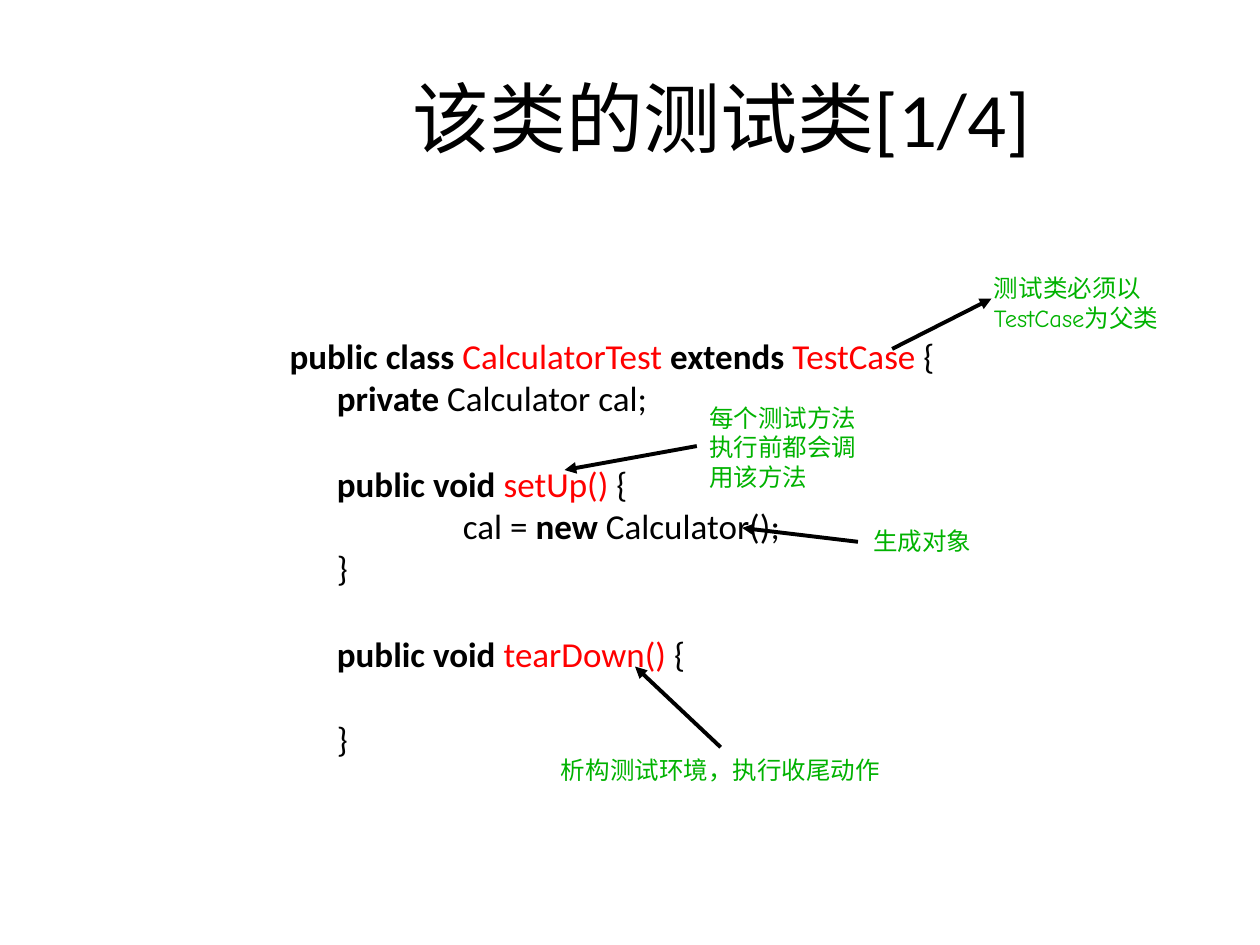
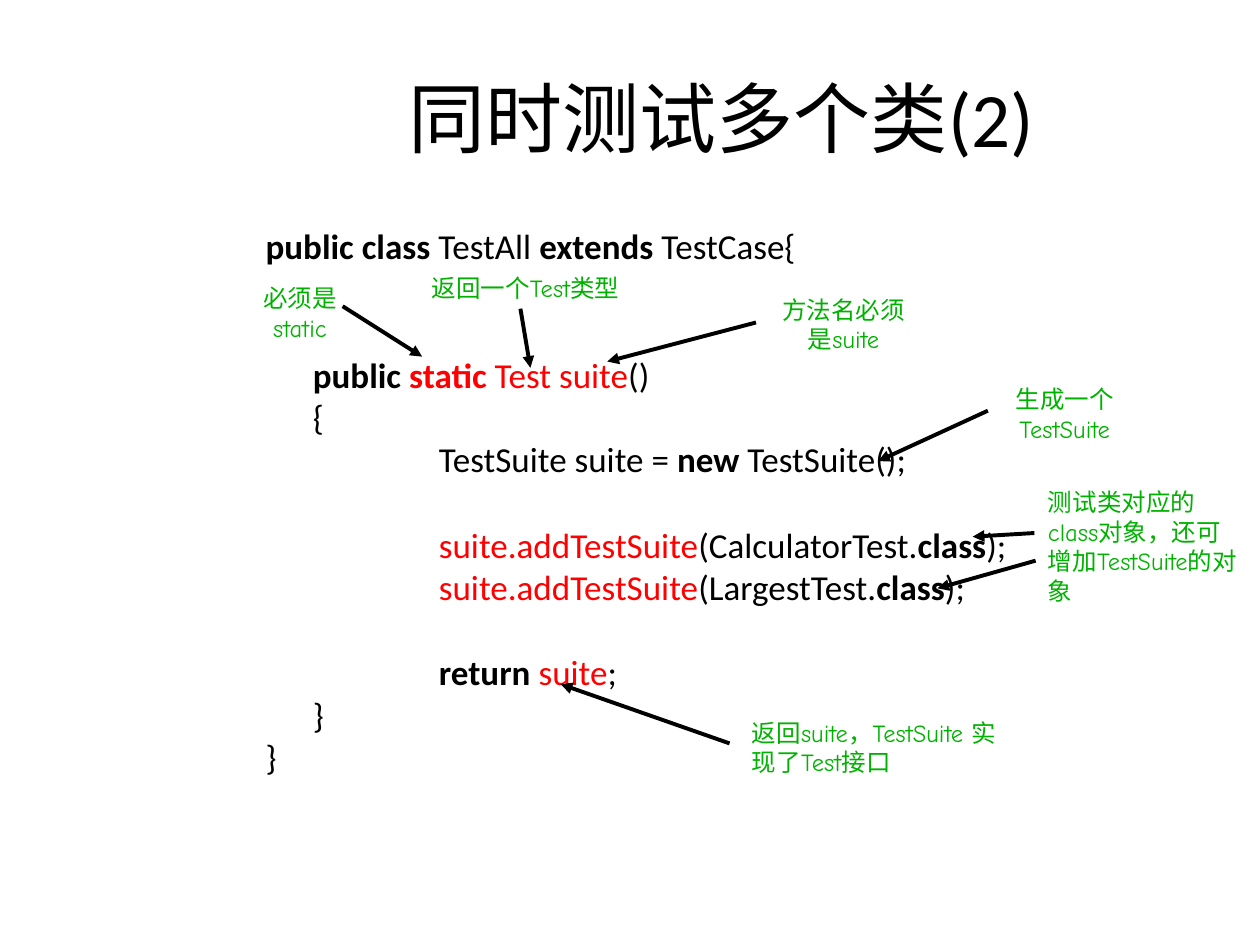
from dataclasses import dataclass
from typing import NamedTuple

from pptx import Presentation
from pptx.dml.color import RGBColor
from pptx.enum.shapes import MSO_CONNECTOR as Connector
from pptx.enum.text import MSO_ANCHOR as Anchor
from pptx.enum.text import MSO_AUTO_SIZE as AutoSize
from pptx.enum.text import PP_ALIGN as Align
from pptx.oxml.ns import qn
from pptx.slide import Slide
from pptx.util import Pt
from lxml.etree import SubElement

COLORS = {"ink": "000000", "highlight": "FF0000", "note": "00B200"}
CODE_FONT = "Calibri"
NOTE_FONT = "Comic Neue"
CODE_SIZE = 20
CODE_SPACING = 0.8
CODE_GAP = 5
LINE_PITCH = 24.5
INDENTS = (0, 27, 99)
TITLE_ONLY = 5


class Box(NamedTuple):
    left: float
    top: float
    width: float
    height: float


class Arrow(NamedTuple):
    x1: float
    y1: float
    x2: float
    y2: float


class Token(NamedTuple):
    text: str
    bold: bool = False
    color: str = "ink"


@dataclass
class CodeLine:
    depth: int
    tokens: list[Token]
    skipped: int = 0


@dataclass
class Note:
    text: str
    box: Box
    arrows: list[Arrow]
    align: Align = Align.LEFT
    spacing: float = 1.0
    gap: float = 8.8


@dataclass
class Lesson:
    title: str
    code_box: Box
    code: list[CodeLine]
    notes: list[Note]


def keyword(text: str) -> Token:
    return Token(text, bold=True)


def highlight(text: str, bold: bool = False) -> Token:
    return Token(text, bold, "highlight")


def add_suite_line(class_name: str, skipped: int = 0) -> CodeLine:
    return CodeLine(2, [highlight("suite.addTestSuite"), Token(f"({class_name}."),
                        keyword("class"), Token(");")], skipped)


def method_line(name: str) -> CodeLine:
    return CodeLine(1, [keyword("public void "), highlight(name), Token(" {")], skipped=1)


def add_run(paragraph, token: Token, font_name: str, size: float) -> None:
    run = paragraph.add_run()
    run.text = token.text
    run.font.name = font_name
    run.font.size = Pt(size)
    run.font.bold = token.bold
    run.font.color.rgb = RGBColor.from_string(COLORS[token.color])


def add_frame(slide: Slide, box: Box):
    frame = slide.shapes.add_textbox(*map(Pt, box)).text_frame
    frame.word_wrap = True
    return frame


def draw_title(slide: Slide, text: str) -> None:
    title = slide.shapes.title
    title.left, title.top, title.width, title.height = map(Pt, Box(140.4, 21.6, 543.6, 90))
    title.text_frame.vertical_anchor = Anchor.MIDDLE
    paragraph = title.text_frame.paragraphs[0]
    paragraph.alignment = Align.CENTER
    add_run(paragraph, Token(text), CODE_FONT, 44)


def draw_code(slide: Slide, box: Box, lines: list[CodeLine]) -> None:
    frame = add_frame(slide, box)
    for number, line in enumerate(lines):
        paragraph = frame.add_paragraph() if number else frame.paragraphs[0]
        paragraph.line_spacing = CODE_SPACING
        paragraph.space_before = Pt(CODE_GAP + line.skipped * LINE_PITCH)
        properties = paragraph._p.get_or_add_pPr()
        properties.set("marL", str(Pt(INDENTS[line.depth])))
        properties.set("indent", "0")
        for token in line.tokens:
            add_run(paragraph, token, CODE_FONT, CODE_SIZE)


def draw_arrow(slide: Slide, arrow: Arrow) -> None:
    pointer = slide.shapes.add_connector(Connector.STRAIGHT, *map(Pt, arrow))
    pointer.line.width = Pt(2.25)
    pointer.line.color.rgb = RGBColor.from_string(COLORS["ink"])
    SubElement(pointer.line._get_or_add_ln(), qn("a:tailEnd"), type="triangle")
    SubElement(pointer._element.spPr, qn("a:effectLst"))


def draw_note(slide: Slide, note: Note) -> None:
    frame = add_frame(slide, note.box)
    frame.auto_size = AutoSize.SHAPE_TO_FIT_TEXT
    paragraph = frame.paragraphs[0]
    paragraph.alignment = note.align
    paragraph.line_spacing = note.spacing
    paragraph.space_before = Pt(note.gap)
    add_run(paragraph, Token(note.text, color="note"), NOTE_FONT, 14)
    for arrow in note.arrows:
        draw_arrow(slide, arrow)


LESSONS = [
    Lesson(
        "该类的测试类[1/4]",
        Box(158.4, 192.2, 437.8, 262.8),
        [
            CodeLine(0, [keyword("public class "), highlight("CalculatorTest "),
                         keyword("extends "), highlight("TestCase"), Token(" {")]),
            CodeLine(1, [keyword("private"), Token(" Calculator cal;")]),
            method_line("setUp()"),
            CodeLine(2, [Token("cal = "), keyword("new"), Token(" Calculator();")]),
            CodeLine(1, [Token("}")]),
            method_line("tearDown()"),
            CodeLine(1, [Token("}")], skipped=1),
        ],
        [
            Note("测试类必须以TestCase为父类", Box(560.9, 152.6, 123.1, 41),
                 [Arrow(509.8, 199.4, 566.6, 170.6)]),
            Note("每个测试方法执行前都会调用该方法", Box(398.2, 226.8, 104.4, 57.6),
                 [Arrow(398.2, 254.9, 322.6, 268.6)]),
            Note("析构测试环境，执行收尾动作", Box(308.9, 427.7, 205.9, 24.5),
                 [Arrow(411.8, 427, 362.9, 380.9)], Align.CENTER),
            Note("生成对象", Box(491.8, 300.2, 75.6, 20.9),
                 [Arrow(490.3, 309.6, 424.1, 301.7)], spacing=0.8, gap=3.5),
        ],
    ),
    Lesson(
        "同时测试多个类(2)",
        Box(144.7, 129.6, 474.5, 360.7),
        [
            CodeLine(0, [keyword("public class"), Token(" TestAll "),
                         keyword("extends"), Token(" TestCase{")]),
            CodeLine(1, [keyword("public "), highlight("static", bold=True),
                         highlight(" Test suite"), Token("()")], skipped=2),
            CodeLine(1, [Token("{")]),
            CodeLine(2, [Token("TestSuite suite = "), keyword("new"), Token(" TestSuite();")]),
            add_suite_line("CalculatorTest", skipped=1),
            add_suite_line("LargestTest"),
            CodeLine(2, [keyword("return "), highlight("suite"), Token(";")], skipped=1),
            CodeLine(1, [Token("}")]),
            CodeLine(0, [Token("}")]),
        ],
        [
            Note("必须是static", Box(142.6, 158.4, 57.6, 41),
                 [Arrow(195.8, 175, 241.2, 203.8)], Align.CENTER),
            Note("返回一个Test类型", Box(229, 152.6, 142.6, 24.5),
                 [Arrow(297.4, 176.4, 303.1, 210.2)], Align.CENTER),
            Note("方法名必须是suite", Box(434.9, 164.9, 94.3, 41),
                 [Arrow(432, 184.3, 347, 206.6)], Align.CENTER),
            Note("生成一个TestSuite", Box(565.9, 216, 85, 41),
                 [Arrow(564.5, 234.7, 501.8, 263.5)], Align.CENTER),
            Note("测试类对应的class对象，还可增加TestSuite的对象", Box(591.8, 275, 122.4, 74.9),
                 [Arrow(591.1, 304.6, 555.8, 306.7), Arrow(591.8, 320.4, 535.7, 336.2)]),
            Note("返回suite，TestSuite 实现了Test接口", Box(422.6, 406.8, 161.3, 41),
                 [Arrow(416.9, 424.8, 320.4, 391)]),
        ],
    ),
]


def main() -> None:
    deck = Presentation()
    deck.slide_width, deck.slide_height = Pt(720), Pt(540)
    for lesson in LESSONS:
        slide = deck.slides.add_slide(deck.slide_layouts[TITLE_ONLY])
        draw_title(slide, lesson.title)
        draw_code(slide, lesson.code_box, lesson.code)
        for note in lesson.notes:
            draw_note(slide, note)
    deck.save("out.pptx")


if __name__ == "__main__":
    main()
